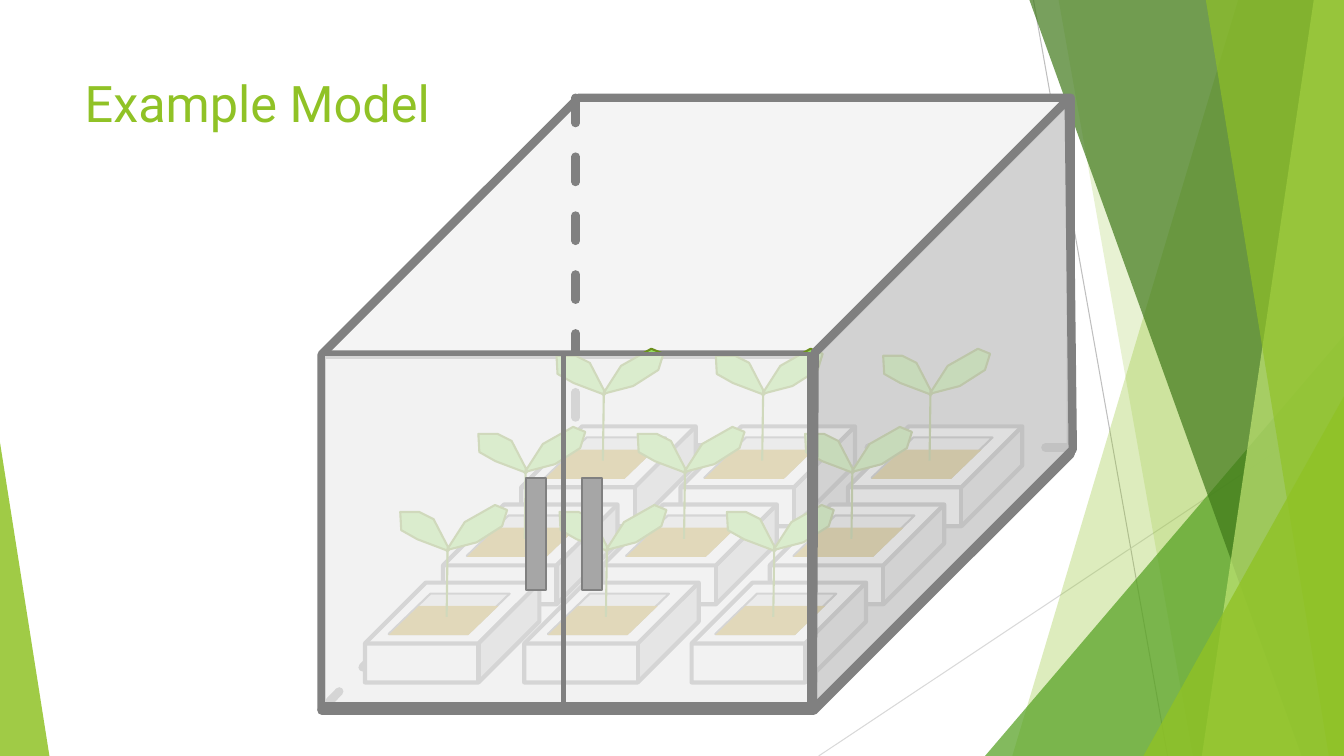
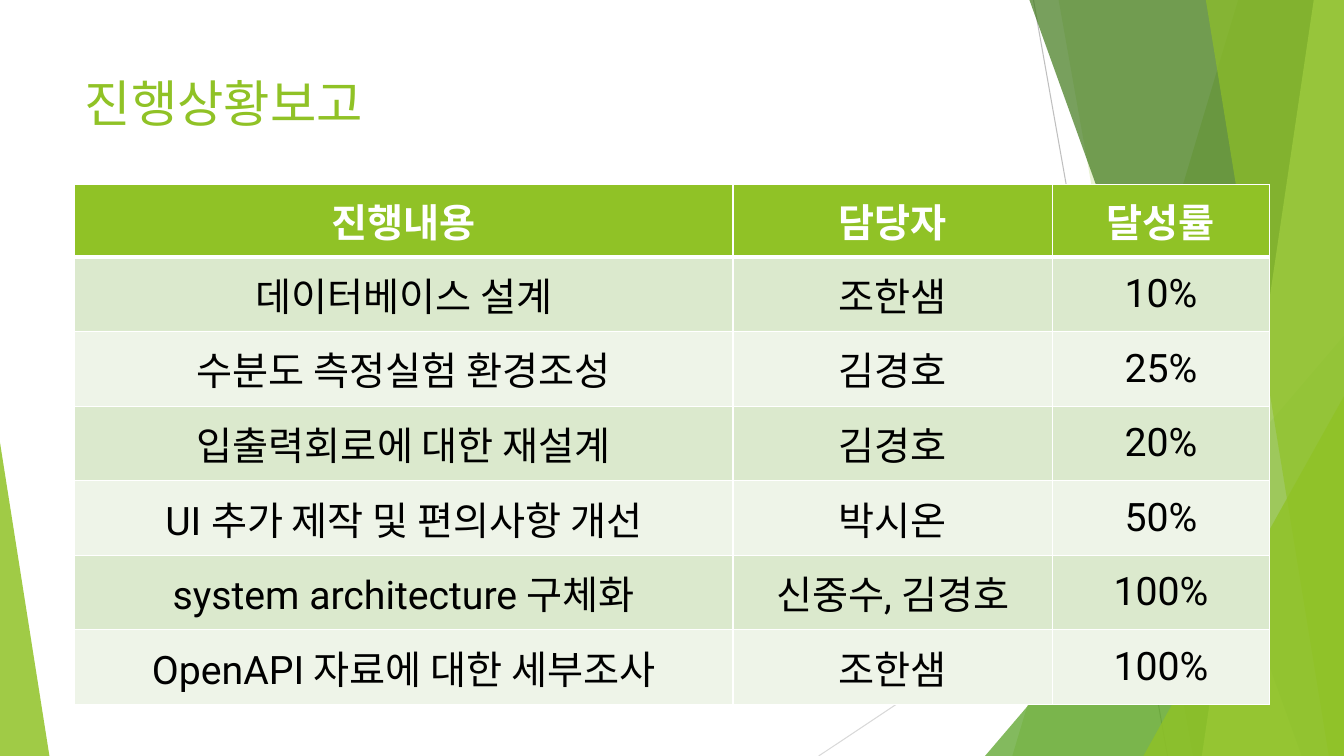
import pptx
import pptx.util
import pptx.dml.color
import pptx.enum.dml
import pptx.enum.shapes
import pptx.enum.text
import pptx.oxml
import pptx.oxml.ns
from lxml import etree

Inches = pptx.util.Inches
Pt = pptx.util.Pt
RGBColor = pptx.dml.color.RGBColor
SHAPE = pptx.enum.shapes.MSO_SHAPE
DASH = pptx.enum.dml.MSO_LINE.DASH
ALIGN = pptx.enum.text.PP_ALIGN
ANCHOR = pptx.enum.text.MSO_ANCHOR
qn = pptx.oxml.ns.qn

FONT = "Roboto"
GREEN = RGBColor(0x90, 0xC2, 0x26)
MID_GREEN = RGBColor(0x54, 0xA0, 0x21)
DARK_GREEN = RGBColor(0x3F, 0x78, 0x19)
PALE_GREEN = RGBColor(0xC0, 0xE4, 0x74)
LEAF = RGBColor(0x94, 0xDE, 0x61)
LEAF_EDGE = RGBColor(0x6B, 0x90, 0x1C)
SOIL = RGBColor(0xAF, 0x8C, 0x14)
GLASS = RGBColor(0xF2, 0xF2, 0xF2)
SHADE = RGBColor(0xD9, 0xD9, 0xD9)
HANDLE = RGBColor(0xA6, 0xA6, 0xA6)
EDGE = RGBColor(0x80, 0x80, 0x80)
RAY = RGBColor(0xBF, 0xBF, 0xBF)
ROW_DARK = RGBColor(0xDB, 0xE9, 0xCD)
ROW_LIGHT = RGBColor(0xEE, 0xF4, 0xE8)
WHITE = RGBColor(0xFF, 0xFF, 0xFF)
BLACK = RGBColor(0, 0, 0)

WIDTH, HEIGHT = 13.33, 7.5
RAYS = [((10.25, 0), (11.58, HEIGHT), RAY), ((WIDTH, 4.03), (8.12, HEIGHT), SHADE)]
BANDS = [
    ("band", (12.28, 10.04), GREEN, 30),
    ("band", (10.5, 11.83), GREEN, 20),
    ("triangle", (9.77, 3.33, 3.56, 4.17, 1), MID_GREEN, 72),
    ("band", (10.21, 12.91), DARK_GREEN, 70),
    ("band", (13.03, 11.92), PALE_GREEN, 70),
    ("band", (11.96, 13.18), GREEN, 65),
    ("triangle", (11.34, 3.93, 1.99, 3.57, 1), GREEN, 80),
    ("triangle", (0, 4.39, 0.49, 3.11, 0), GREEN, 85),
]

HIDDEN_CORNER = (5.71, 4.44)
HIDDEN_EDGE_STARTS = [(10.62, 4.44), (5.71, 0.97), (3.19, 7.04)]
PLANTER_ORIGIN = (5.17, 4.23)
PLANTER_COLUMNS = (0, 3.24, 1.58)
PLANTER_ROWS = 3
PLANTER_STEP = 0.775
PLANTER_PARTS = [
    (SHAPE.CUBE, (0, 0, 1.73, 0.99), 0.61, GLASS, 3),
    (SHAPE.PARALLELOGRAM, (0.235, 0.11, 1.2, 0.4), 1.035, SHADE, 1.5),
    (SHAPE.PARALLELOGRAM, (0.235, 0.23, 1.09, 0.29), 1.035, SOIL, None),
]
SPROUT = [
    (0.81, 0.34), (0.82, -0.36), (0.68, -0.63), (0.54, -0.7), (0.35, -0.7),
    (0.36, -0.52), (0.52, -0.43), (0.81, -0.32), (0.99, -0.6), (1.29, -0.77),
    (1.41, -0.72), (1.36, -0.56), (1.11, -0.4), (0.84, -0.33), (0.81, -0.3),
]
SIDE_WALL = [(8.08, 3.5), (8.06, 7.04), (10.64, 4.46), (10.6, 0.98)]
DOORS = [((5.59, 3.51, 2.44, 3.48), 5.77), ((3.2, 3.51, 2.39, 3.48), 5.22)]

COLUMN_WIDTHS = (6.53, 3.17, 2.15)
PROGRESS = [
    ("진행내용", "담당자", "달성률"),
    ("데이터베이스 설계", "조한샘", "10%"),
    ("수분도 측정실험 환경조성", "김경호", "25%"),
    ("입출력회로에 대한 재설계", "김경호", "20%"),
    ("UI 추가 제작 및 편의사항 개선", "박시온", "50%"),
    ("system architecture 구체화", "신중수, 김경호", "100%"),
    ("OpenAPI 자료에 대한 세부조사", "조한샘", "100%"),
]


def paint(shape, color, line=None, alpha=100):
    shape.shadow.inherit = False
    shape.fill.solid()
    shape.fill.fore_color.rgb = color
    if alpha < 100:
        tint = shape.element.spPr.find(qn("a:solidFill")).find(qn("a:srgbClr"))
        etree.SubElement(tint, qn("a:alpha"), val=str(alpha * 1000))
    if line:
        stroke(shape, *line)
    else:
        shape.line.fill.background()


def stroke(shape, color, width, dash=None):
    shape.line.color.rgb = color
    shape.line.width = Pt(width)
    if dash:
        shape.line.dash_style = dash
    outline = shape.element.spPr.find(qn("a:ln"))
    outline.set("cap", "rnd" if dash else "flat")
    etree.SubElement(outline, qn("a:round"))


def add_preset(slide, kind, area, color, line=None, alpha=100, adjust=None):
    shape = slide.shapes.add_shape(kind, *map(Inches, area))
    if adjust is not None:
        shape.adjustments[0] = adjust
    paint(shape, color, line, alpha)
    return shape


def add_outline(slide, points, color, line=None, alpha=100, close=True):
    corners = [(Inches(x), Inches(y)) for x, y in points]
    builder = slide.shapes.build_freeform(*corners[0])
    builder.add_line_segments(corners[1:], close=close)
    shape = builder.convert_to_shape()
    paint(shape, color, line, alpha)
    return shape


def add_line(slide, start, end, color, width, dash=None):
    line = slide.shapes.add_connector(
        pptx.enum.shapes.MSO_CONNECTOR.STRAIGHT, *map(Inches, start + end))
    stroke(line, color, width, dash)
    etree.SubElement(line.element.spPr, qn("a:effectLst"))
    return line


def prepare_layout(deck):
    layout = deck.slide_layouts.get_by_name("Title Only")
    title = layout.placeholders[0]
    title.left, title.top, title.width, title.height = map(Inches, (0.74, 0.67, 9.4, 1.44))
    title.text_frame.vertical_anchor = ANCHOR.TOP
    title.text_frame.auto_size = pptx.enum.text.MSO_AUTO_SIZE.NONE
    return layout


def decorate_layout(layout, slide):
    parts = [add_line(slide, start, end, color, 0.75) for start, end, color in RAYS]
    for kind, numbers, color, alpha in BANDS:
        if kind == "band":
            top, bottom = numbers
            points = [(top, 0), (WIDTH, 0), (WIDTH, HEIGHT), (bottom, HEIGHT)]
            parts.append(add_outline(slide, points, color, alpha=alpha))
        else:
            *area, apex = numbers
            parts.append(add_preset(slide, SHAPE.ISOSCELES_TRIANGLE, area, color,
                                    alpha=alpha, adjust=apex))
    for part in parts:
        layout.shapes.element.append(part.element)


def add_titled_slide(deck, layout, title):
    slide = deck.slides.add_slide(layout)
    slide.shapes.title.text_frame.text = title
    para = slide.shapes.title.text_frame.paragraphs[0]
    para.alignment = ALIGN.LEFT
    format_span(para.runs[0], 36, GREEN)
    return slide


def format_span(span, size, color, bold=False):
    span.font.name = FONT
    span.font.size = Pt(size)
    span.font.color.rgb = color
    span.font.bold = bold


def add_planter(slide, left, top):
    for kind, (x, y, width, height), adjust, color, weight in PLANTER_PARTS:
        add_preset(slide, kind, (left + x, top + y, width, height), color,
                   line=(EDGE, weight) if weight else None, adjust=adjust)
    sprout = [(left + x, top + y) for x, y in SPROUT]
    add_outline(slide, sprout, LEAF, (LEAF_EDGE, 1.5), close=False)


def draw_greenhouse(slide):
    add_preset(slide, SHAPE.CUBE, (3.19, 0.97, 7.43, 6.08), GLASS, (EDGE, 6), adjust=0.419)
    for start in HIDDEN_EDGE_STARTS:
        add_line(slide, start, HIDDEN_CORNER, EDGE, 6, DASH)
    left, top = PLANTER_ORIGIN
    for row in range(PLANTER_ROWS):
        shift = row * PLANTER_STEP
        for column in PLANTER_COLUMNS:
            add_planter(slide, left + column - shift, top + shift)
    add_outline(slide, SIDE_WALL, SHADE, (EDGE, 6), alpha=75)
    for door, handle_left in DOORS:
        add_preset(slide, SHAPE.RECTANGLE, door, GLASS, (EDGE, 3), alpha=75)
        add_preset(slide, SHAPE.RECTANGLE, (handle_left, 4.74, 0.2, 1.11), HANDLE, (EDGE, 1.5))


def set_borders(cell, row):
    properties = cell._tc.get_or_add_tcPr()
    widths = {"lnL": 1, "lnR": 1, "lnT": 3 if row == 1 else 1, "lnB": 3 if row == 0 else 1}
    for side, width in widths.items():
        border = etree.SubElement(properties, qn(f"a:{side}"), w=str(Pt(width)))
        fill = etree.SubElement(border, qn("a:solidFill"))
        etree.SubElement(fill, qn("a:srgbClr"), val=str(WHITE))


def add_progress_table(slide):
    area = map(Inches, (0.74, 1.83, sum(COLUMN_WIDTHS), 5.16))
    table = slide.shapes.add_table(len(PROGRESS), len(COLUMN_WIDTHS), *area).table
    for column, width in zip(table.columns, COLUMN_WIDTHS):
        column.width = Inches(width)
    for row, texts in enumerate(PROGRESS):
        header = row == 0
        table.rows[row].height = Inches(0.72 if header else 0.74)
        for column, text in enumerate(texts):
            cell = table.cell(row, column)
            set_borders(cell, row)
            cell.fill.solid()
            cell.fill.fore_color.rgb = GREEN if header else ROW_DARK if row % 2 else ROW_LIGHT
            cell.vertical_anchor = ANCHOR.MIDDLE
            cell.text_frame.text = text
            para = cell.text_frame.paragraphs[0]
            para.alignment = ALIGN.CENTER
            format_span(para.runs[0], 28, WHITE if header else BLACK, header)


def main():
    deck = pptx.Presentation()
    deck.slide_width, deck.slide_height = Inches(WIDTH), Inches(HEIGHT)
    layout = prepare_layout(deck)
    model = add_titled_slide(deck, layout, "Example Model")
    decorate_layout(layout, model)
    draw_greenhouse(model)
    add_progress_table(add_titled_slide(deck, layout, "진행상황보고"))
    deck.save("out.pptx")


if __name__ == "__main__":
    main()
